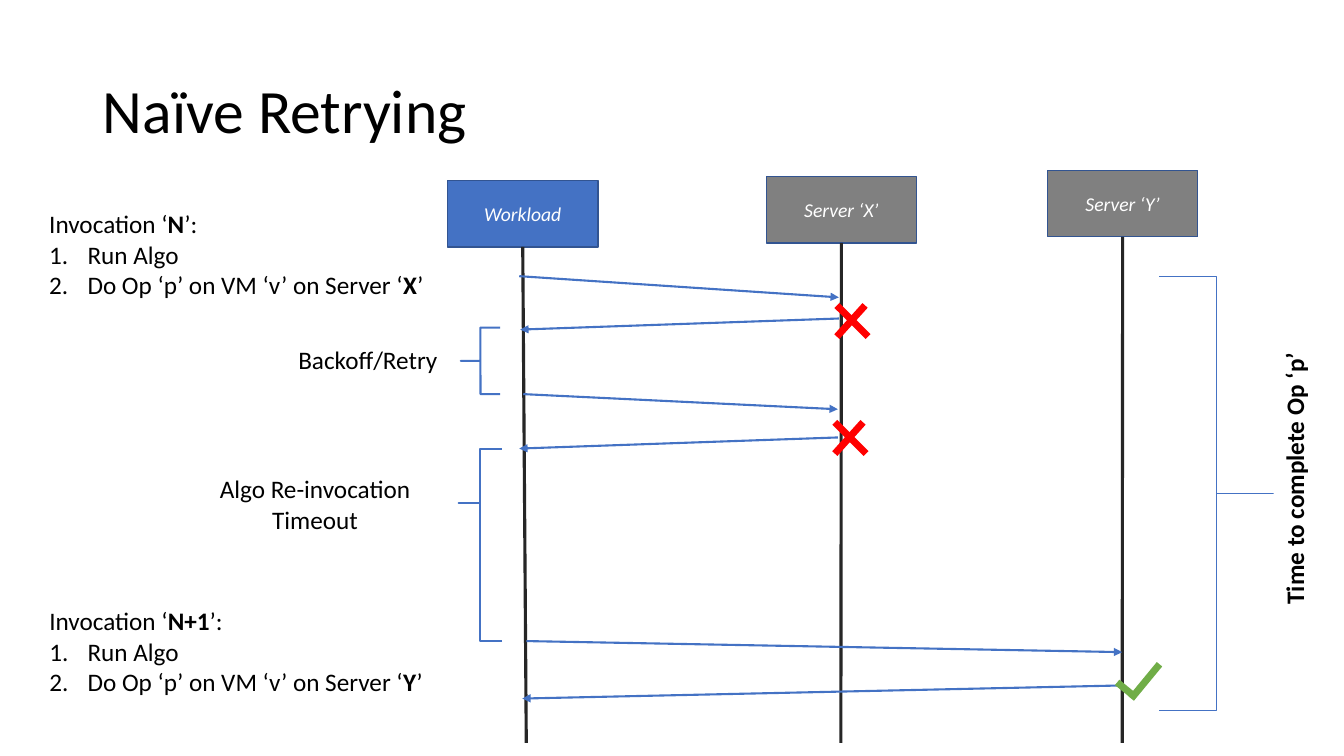
from lxml import etree
from pptx import Presentation
from pptx.dml.color import RGBColor
from pptx.enum.shapes import MSO_CONNECTOR, MSO_SHAPE
from pptx.enum.text import MSO_ANCHOR, MSO_AUTO_SIZE, PP_ALIGN
from pptx.oxml.ns import qn
from pptx.util import Inches, Pt

FONT = "Calibri"
COLORS = {"text": "000000", "white": "FFFFFF", "blue": "4472C4", "gray": "808080",
          "border": "325491", "lifeline": "262626", "fail": "FF0000", "ok": "70AD47"}

TITLE = "Naïve Retrying"
BOX_W, BOX_H = 1.49, 0.66
LIFELINE_END = 7.37

# Participants: name, left, top, fill, x of the lifeline's foot
PARTICIPANTS = [
    ("Workload", 4.44, 1.79, "blue", 5.22),
    ("Server ‘X’", 7.6, 1.75, "gray", 8.34),
    ("Server ‘Y’", 10.39, 1.69, "gray", 11.13),
]

# Messages: x and y of the start, x and y of the arrowhead
MESSAGES = [
    (5.15, 2.74, 8.32, 2.95),
    (8.32, 3.16, 5.16, 3.27),
    (5.19, 3.91, 8.31, 4.06),
    (8.31, 4.34, 5.15, 4.45),
    (5.22, 6.36, 11.13, 6.47),
    (11.13, 6.8, 5.18, 6.93),
]

# Braces: shape, left, top, width, height, tip position, line width
BRACES = [
    (MSO_SHAPE.LEFT_BRACE, 4.57, 3.25, 0.39, 0.66, 0.5, 1.5),
    (MSO_SHAPE.LEFT_BRACE, 4.55, 4.45, 0.43, 1.91, 0.285, 1.5),
    (MSO_SHAPE.RIGHT_BRACE, 11.5, 2.74, 1.13, 4.31, 0.5, 0.5),
]

# Invocations: number, server, left, top, width, height
INVOCATIONS = [
    ("N", "X", 0.39, 2.02, 3.96, 1.01),
    ("N+1", "Y", 0.39, 5.96, 4.02, 1.01),
]

# Labels: lines, left, top, width, height, alignment, bold, rotation
LABELS = [
    (["Backoff/Retry"], 2.86, 3.37, 1.62, 0.4, PP_ALIGN.LEFT, False, 0),
    (["Algo Re-invocation", "Timeout"], 1.81, 4.65, 2.63, 0.71, PP_ALIGN.CENTER, False, 0),
    (["Time to complete Op ‘p’"], 11.42, 4.48, 2.83, 0.4, PP_ALIGN.LEFT, True, 270),
]

# Outcome marks: colour and two strokes each
CROSS = [(0, 0, 0.31, 0.31), (0.28, 0, 0, 0.31)]
CHECK = [(0, 0.18, 0.16, 0.31), (0.14, 0.34, 0.42, 0)]
MARKS = [("ok", CHECK, 11.08, 6.59), ("fail", CROSS, 8.3, 3.03), ("fail", CROSS, 8.28, 4.19)]


def rgb(name):
    return RGBColor.from_string(COLORS[name])


def add_run(p, text, size=18, color="text", bold=False, italic=False):
    r = p.add_run()
    r.text = text
    r.font.name, r.font.size = FONT, Pt(size)
    r.font.bold, r.font.italic = bold, italic
    r.font.color.rgb = rgb(color)


def add_line(shapes, x1, y1, x2, y2, color, width, arrow=False):
    line = shapes.add_connector(MSO_CONNECTOR.STRAIGHT, *map(Inches, (x1, y1, x2, y2)))
    line.line.color.rgb = rgb(color)
    line.line.width = Pt(width)
    if arrow:
        ln = line.line._get_or_add_ln()
        etree.SubElement(ln, qn("a:tailEnd"), type="triangle")
    etree.SubElement(line._element.spPr, qn("a:effectLst"))
    return line


def add_text_box(*box):
    tb = s.shapes.add_textbox(*map(Inches, box))
    tb.text_frame.word_wrap = True
    tb.text_frame.auto_size = MSO_AUTO_SIZE.SHAPE_TO_FIT_TEXT
    return tb


def add_numbered(tf):
    p = tf.add_paragraph()
    pPr = p._p.get_or_add_pPr()
    pPr.set("marL", str(Inches(0.38)))
    pPr.set("indent", str(-Inches(0.38)))
    etree.SubElement(pPr, qn("a:buFont"), typeface="+mj-lt")
    etree.SubElement(pPr, qn("a:buAutoNum"), type="arabicPeriod")
    return p


prs = Presentation()
prs.slide_width, prs.slide_height = Inches(13.33), Inches(7.5)
s = prs.slides.add_slide(prs.slide_layouts[5])

# Title
title = s.shapes.title
title.left, title.top, title.width, title.height = map(Inches, (0.92, 0.4, 11.5, 1.45))
tf = title.text_frame
tf.auto_size = MSO_AUTO_SIZE.NONE
tf.vertical_anchor = MSO_ANCHOR.MIDDLE
p = tf.paragraphs[0]
p.alignment, p.line_spacing = PP_ALIGN.LEFT, 0.9
add_run(p, TITLE, size=44)

# Participants and their lifelines
for name, left, top, fill, foot in PARTICIPANTS:
    sp = s.shapes.add_shape(MSO_SHAPE.RECTANGLE, *map(Inches, (left, top, BOX_W, BOX_H)))
    sp.shadow.inherit = False
    sp.fill.solid()
    sp.fill.fore_color.rgb = rgb(fill)
    sp.line.color.rgb = rgb("border")
    sp.line.width = Pt(1)
    sp.text_frame.vertical_anchor = MSO_ANCHOR.MIDDLE
    p = sp.text_frame.paragraphs[0]
    p.alignment = PP_ALIGN.CENTER
    add_run(p, name, size=14, color="white", italic=True)
    lifeline = add_line(s.shapes, left + BOX_W / 2, top + BOX_H, foot, LIFELINE_END,
                        "lifeline", 2.25)
    lifeline.begin_connect(sp, 2)

# Messages
for message in MESSAGES:
    add_line(s.shapes, *message, "blue", 1.5, arrow=True)

# Braces
for kind, left, top, width, height, tip, weight in BRACES:
    brace = s.shapes.add_shape(kind, *map(Inches, (left, top, width, height)))
    brace.shadow.inherit = False
    brace.adjustments[0], brace.adjustments[1] = 0, tip
    brace.fill.background()
    brace.line.color.rgb = rgb("blue")
    brace.line.width = Pt(weight)

# Invocation steps
for number, server, *box in INVOCATIONS:
    tf = add_text_box(*box).text_frame
    p = tf.paragraphs[0]
    add_run(p, "Invocation ‘")
    add_run(p, number, bold=True)
    add_run(p, "’:")
    add_run(add_numbered(tf), "Run Algo")
    p = add_numbered(tf)
    add_run(p, "Do Op ‘p’ on VM ‘v’ on Server ‘")
    add_run(p, server, bold=True)
    add_run(p, "’")

# Labels
for lines, *box, align, bold, rotation in LABELS:
    tb = add_text_box(*box)
    tb.rotation = rotation
    tf = tb.text_frame
    for i, text in enumerate(lines):
        p = tf.add_paragraph() if i else tf.paragraphs[0]
        p.alignment = align
        add_run(p, text, bold=bold)

# Outcome marks
for color, strokes, x, y in MARKS:
    mark = s.shapes.add_group_shape()
    for x1, y1, x2, y2 in strokes:
        add_line(mark.shapes, x + x1, y + y1, x + x2, y + y2, color, 5)

prs.save("out.pptx")
